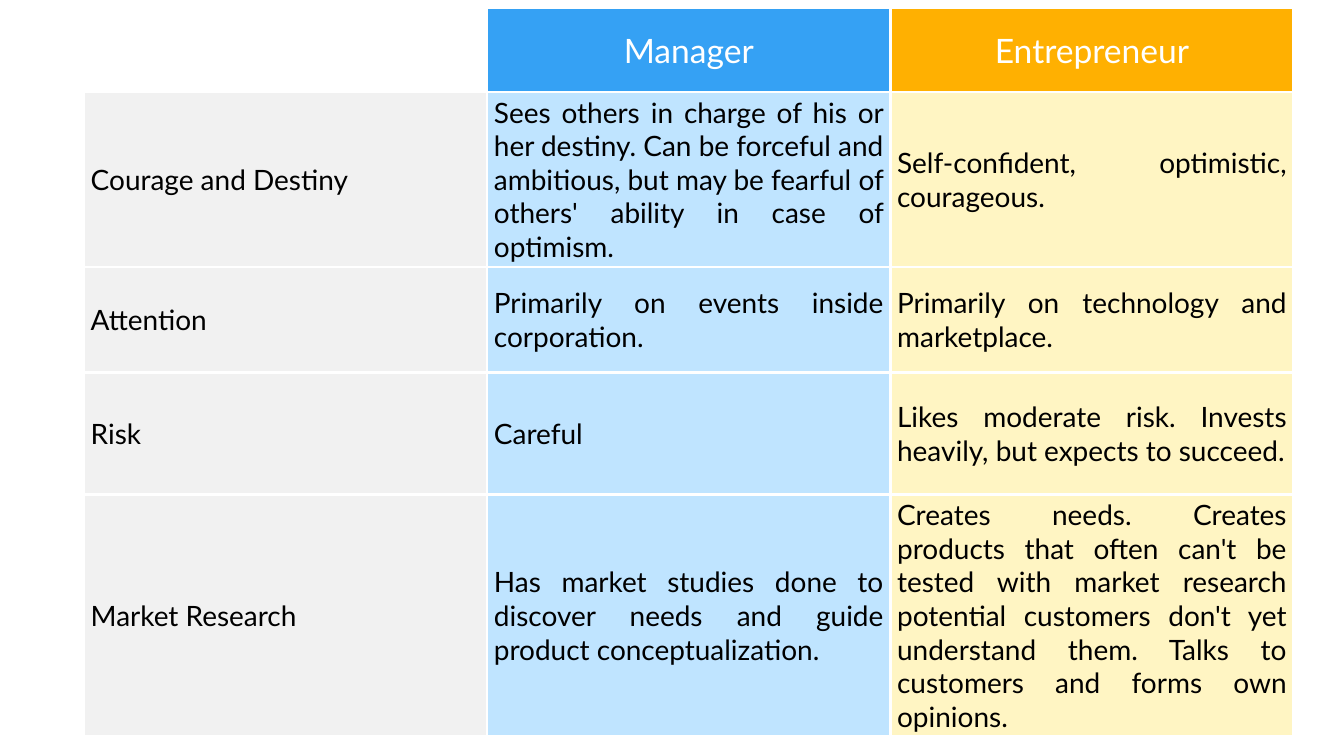
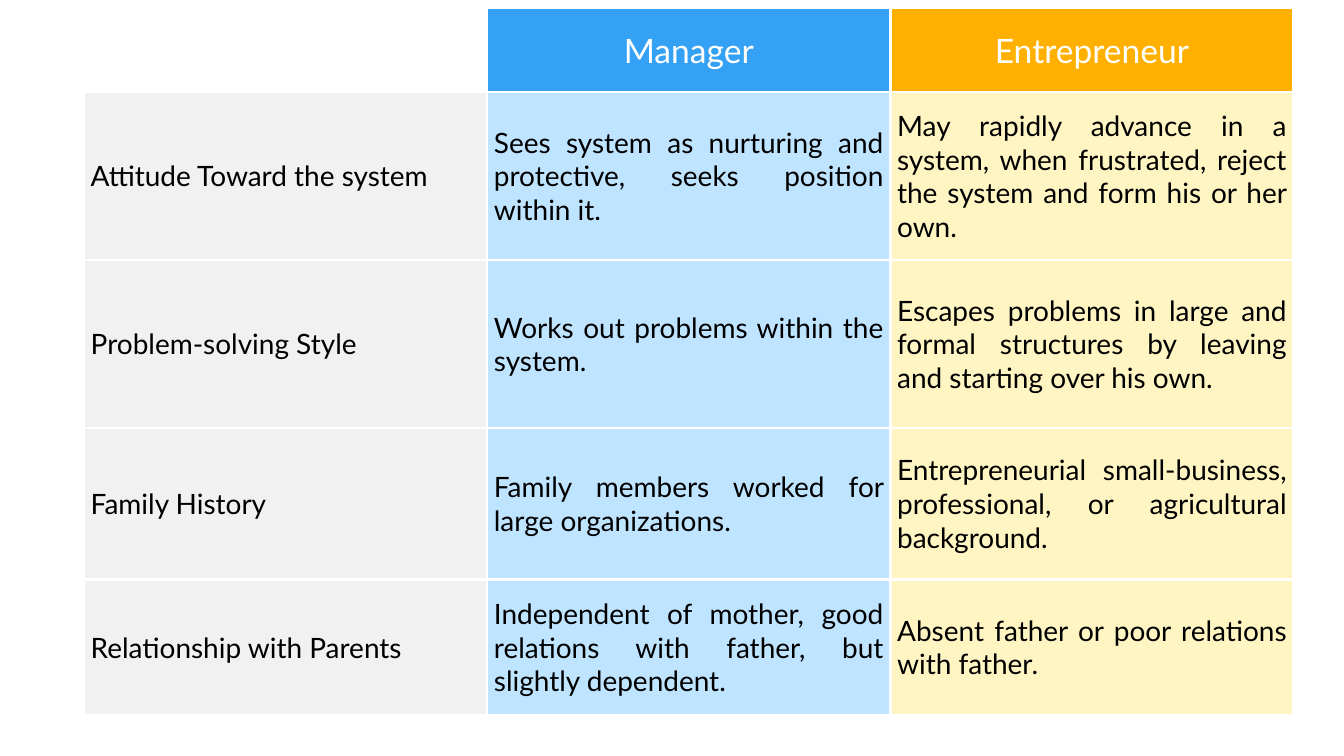
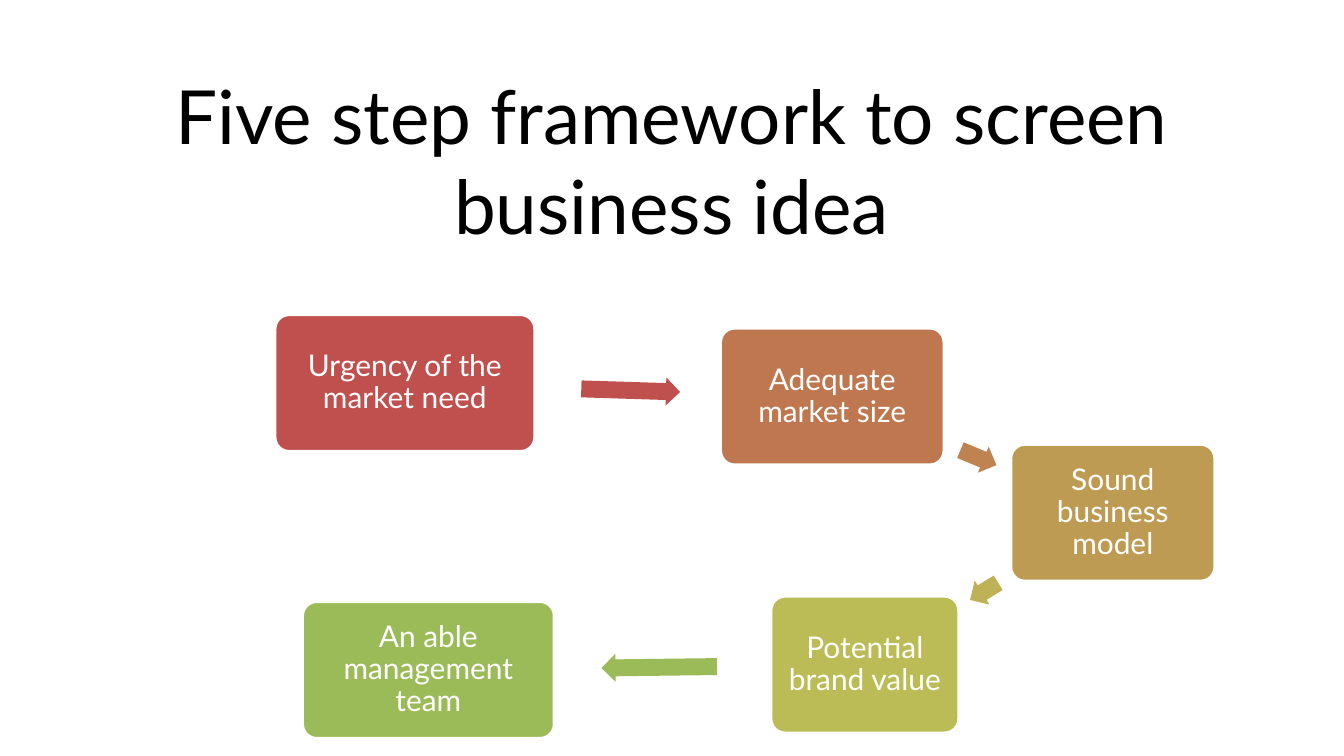
from lxml import etree
from pptx import Presentation
from pptx.dml.color import RGBColor
from pptx.enum.shapes import MSO_SHAPE
from pptx.enum.text import MSO_ANCHOR, PP_ALIGN
from pptx.oxml.ns import qn
from pptx.util import Inches, Pt

ROUNDED = MSO_SHAPE.ROUNDED_RECTANGLE
ARROW = MSO_SHAPE.RIGHT_ARROW
MIDDLE, TOP = MSO_ANCHOR.MIDDLE, MSO_ANCHOR.TOP
CENTER, JUSTIFY = PP_ALIGN.CENTER, PP_ALIGN.JUSTIFY

FONT = "Lato"
TITLE_ONLY, BLANK = 5, 6
COLORS = {
    "white": "FFFFFF",
    "black": "000000",
    "manager": "35A1F4",
    "entrepreneur": "FFB001",
    "topic_tint": "F1F1F1",
    "manager_tint": "BFE4FF",
    "entrepreneur_tint": "FFF5C3",
    "need": "C0504D",
    "size": "BF7750",
    "size_arrow": "BE8351",
    "model": "BD9B53",
    "model_arrow": "BDB255",
    "brand": "BCBC56",
    "team": "9BBB59",
}
HEADINGS = ["", "Manager", "Entrepreneur"]
HEADING_FILLS = [None, "manager", "entrepreneur"]
BODY_FILLS = ["topic_tint", "manager_tint", "entrepreneur_tint"]

OUTLOOK_ROWS = [
    ["Courage and Destiny",
     "Sees others in charge of his or her destiny. Can be forceful and ambitious, "
     "but may be fearful of others' ability in case of optimism.",
     "Self-confident, optimistic, courageous."],
    ["Attention",
     "Primarily on events inside corporation.",
     "Primarily on technology and marketplace."],
    ["Risk",
     "Careful",
     "Likes moderate risk. Invests heavily, but expects to succeed."],
    ["Market Research",
     "Has market studies done to discover needs and guide product conceptualization.",
     "Creates needs. Creates products that often can't be tested with market research "
     "potential customers don't yet understand them. Talks to customers and forms own opinions."],
]
BACKGROUND_ROWS = [
    ["Attitude Toward the system",
     "Sees system as nurturing and protective, seeks position within it.",
     "May rapidly advance in a system, when frustrated, reject the system and form his or her own."],
    ["Problem-solving Style",
     "Works out problems within the system.",
     "Escapes problems in large and formal structures by leaving and starting over his own."],
    ["Family History",
     "Family members worked for large organizations.",
     "Entrepreneurial small-business, professional, or agricultural background."],
    ["Relationship with Parents",
     "Independent of mother, good relations with father, but slightly dependent.",
     "Absent father or poor relations with father."],
]
STEP_HEIGHT = 2.02
STEPS = [
    ("Urgency of the market need", 4.1, 4.69, 3.85, "need"),
    ("Adequate market size", 10.73, 4.89, 3.31, "size"),
    ("Sound business model", 15.05, 6.62, 3.02, "model"),
    ("Potential brand value", 11.48, 8.88, 2.78, "brand"),
    ("An able management team", 4.51, 8.96, 3.73, "team"),
]
ARROW_HEIGHT = 0.42
ARROWS = [
    (8.65, 5.6, 1.47, 1.8, "need"),
    (14.27, 6.6, 0.58, 22.6, "size_arrow"),
    (14.4, 8.59, 0.49, 148.6, "model_arrow"),
    (8.95, 9.72, 1.72, 179.3, "team"),
]


def rgb(color):
    return RGBColor.from_string(COLORS[color])


def write(frame, text, size, color, align):
    paragraph = frame.paragraphs[0]
    paragraph.alignment = align
    run = paragraph.add_run()
    run.text = text
    run.font.size = Pt(size)
    run.font.name = FONT
    run.font.color.rgb = rgb(color)
    return paragraph


def set_margins(frame, inches):
    frame.margin_left = frame.margin_right = Inches(inches)
    frame.margin_top = frame.margin_bottom = Inches(inches)


def add_borders(cell, color, points):
    properties = cell._tc.get_or_add_tcPr()
    for side in ("lnL", "lnR", "lnT", "lnB"):
        line = etree.SubElement(properties, qn(f"a:{side}"), w=str(Pt(points)))
        fill = etree.SubElement(line, qn("a:solidFill"))
        etree.SubElement(fill, qn("a:srgbClr"), val=COLORS[color])


def fill_cell(cell, text, fill, size, color, align):
    add_borders(cell, "white", 3)
    cell.vertical_anchor = MIDDLE
    if fill is None:
        cell.fill.background()
    else:
        cell.fill.solid()
        cell.fill.fore_color.rgb = rgb(fill)
    if text:
        write(cell.text_frame, text, size, color, align)


def add_comparison(prs, body_rows, row_heights, height):
    slide = prs.slides.add_slide(prs.slide_layouts[BLANK])
    frame = slide.shapes.add_table(
        len(body_rows) + 1, len(HEADINGS),
        Inches(1.25), Inches(0.12), Inches(18), Inches(height))
    table = frame.table
    table.first_row = table.horz_banding = False
    for row, row_height in zip(table.rows, row_heights):
        row.height = Inches(row_height)
    frame.height = Inches(height)
    for column, (heading, fill) in enumerate(zip(HEADINGS, HEADING_FILLS)):
        fill_cell(table.cell(0, column), heading, fill, 36, "white", CENTER)
    for row, texts in enumerate(body_rows, start=1):
        for column, (text, fill) in enumerate(zip(texts, BODY_FILLS)):
            fill_cell(table.cell(row, column), text, fill, 30, "black", JUSTIFY)


def set_title(slide, text):
    title = slide.shapes.title
    title.left, title.top = Inches(2.1), Inches(1.04)
    title.width, title.height = Inches(15.79), Inches(2.69)
    frame = title.text_frame
    frame.word_wrap = True
    frame.vertical_anchor = TOP
    set_margins(frame, 0)
    write(frame, text, 80, "black", CENTER).line_spacing = Pt(96)


def add_block(slide, kind, left, top, width, height, fill, adjustments):
    block = slide.shapes.add_shape(
        kind, Inches(left), Inches(top), Inches(width), Inches(height))
    block.shadow.inherit = False
    block.fill.solid()
    block.fill.fore_color.rgb = rgb(fill)
    for index, value in enumerate(adjustments):
        block.adjustments[index] = value
    return block


def add_step(slide, text, left, top, width, fill):
    step = add_block(slide, ROUNDED, left, top, width, STEP_HEIGHT, fill, [0.1])
    step.line.color.rgb = rgb("white")
    step.line.width = Pt(2)
    frame = step.text_frame
    frame.word_wrap = True
    frame.vertical_anchor = MIDDLE
    set_margins(frame, 0.13)
    write(frame, text, 32, "white", CENTER).line_spacing = 0.9


def add_arrow(slide, left, top, width, rotation, fill):
    arrow = add_block(slide, ARROW, left, top, width, ARROW_HEIGHT, fill, [0.6, 0.5])
    arrow.line.fill.background()
    arrow.rotation = rotation


def add_framework(prs):
    slide = prs.slides.add_slide(prs.slide_layouts[TITLE_ONLY])
    set_title(slide, "Five step framework to screen business idea")
    for step in STEPS:
        add_step(slide, *step)
    for arrow in ARROWS:
        add_arrow(slide, *arrow)


def main():
    prs = Presentation()
    prs.slide_width, prs.slide_height = Inches(20), Inches(11.25)
    add_comparison(prs, OUTLOOK_ROWS, [1.25, 1.86, 1.57, 1.82, 2.02], 10.83)
    add_comparison(prs, BACKGROUND_ROWS, [1.25, 2.5, 2.5, 2.25, 2.02], 10.52)
    add_framework(prs)
    prs.save("out.pptx")


if __name__ == "__main__":
    main()
